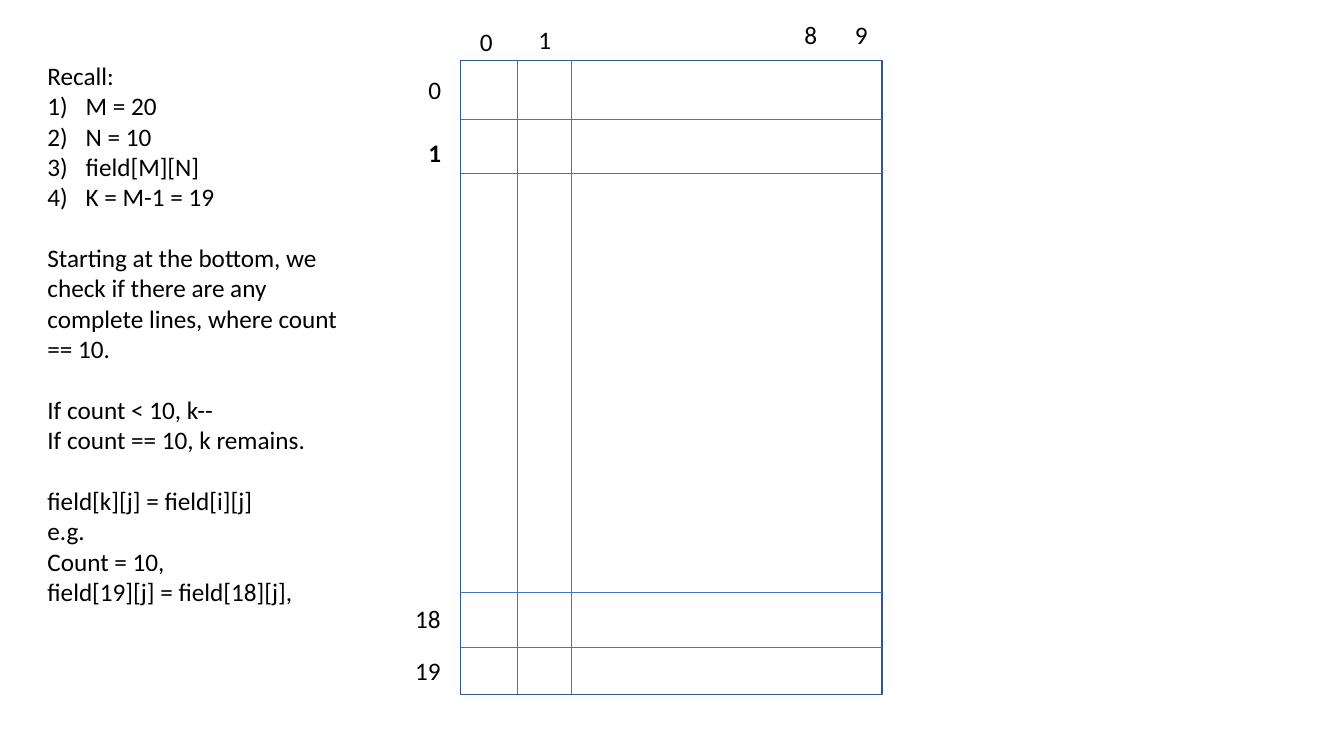
from dataclasses import dataclass

from lxml.etree import SubElement
from pptx import Presentation
from pptx.dml.color import RGBColor
from pptx.enum.shapes import MSO_CONNECTOR, MSO_SHAPE
from pptx.enum.text import MSO_ANCHOR, MSO_AUTO_SIZE, PP_ALIGN
from pptx.oxml.ns import qn
from pptx.slide import Slide
from pptx.text.text import TextFrame, _Paragraph
from pptx.util import Inches, Pt


@dataclass(frozen=True)
class Theme:
    font: str = "Calibri"
    size: float = 18
    blank_line: float = 22
    text: RGBColor = RGBColor(0x00, 0x00, 0x00)
    border: RGBColor = RGBColor(0x32, 0x54, 0x91)
    rule: RGBColor = RGBColor(0x44, 0x72, 0xC4)


@dataclass(frozen=True)
class Label:
    text: str
    left: float
    top: float
    width: float = 0.38
    bold: bool = False


@dataclass(frozen=True)
class Note:
    text: str
    numbered: bool = False
    gap: bool = False


THEME = Theme()
LEFT, TOP, WIDTH, HEIGHT = 4.57, 0.6, 4.18, 6.29
NUMBER_INDENT = 0.38
ROW_RULES = (1.18, 1.72, 5.88, 6.42)
COLUMN_RULES = (5.13, 5.67)
LABELS = (
    Label("0", 4.15, 0.69),
    Label("1", 4.15, 1.31, bold=True),
    Label("18", 4.02, 5.94, 0.63),
    Label("19", 4.02, 6.45, 0.63),
    Label("0", 4.66, 0.21),
    Label("1", 5.24, 0.19),
    Label("8", 7.88, 0.14, 0.7),
    Label("9", 8.38, 0.14, 0.7),
)
NOTES = (
    Note("Recall:"),
    Note("M = 20", numbered=True),
    Note("N = 10", numbered=True),
    Note("field[M][N]", numbered=True),
    Note("K = M-1 = 19", numbered=True),
    Note("Starting at the bottom, we check if there are any complete lines, "
         "where count == 10.", gap=True),
    Note("If count < 10, k--", gap=True),
    Note("If count == 10, k remains."),
    Note("field[k][j] = field[i][j]", gap=True),
    Note("e.g."),
    Note("Count = 10,"),
    Note("field[19][j] = field[18][j],"),
)


def write(para: _Paragraph, text: str, *, bold: bool = False,
          space_before: float = 0) -> None:
    para.alignment = PP_ALIGN.LEFT
    para.space_before = Pt(space_before)
    span = para.add_run()
    span.text = text
    span.font.name = THEME.font
    span.font.size = Pt(THEME.size)
    span.font.bold = bold
    span.font.color.rgb = THEME.text


def set_numbering(para: _Paragraph, numbered: bool) -> None:
    """Number the paragraph with a hanging indent, or clear its bullet."""
    properties = para._p.get_or_add_pPr()
    indent = Inches(NUMBER_INDENT) if numbered else 0
    properties.set("marL", str(indent))
    properties.set("indent", str(-indent))
    if numbered:
        SubElement(properties, qn("a:buFont"), typeface="+mj-lt")
        SubElement(properties, qn("a:buAutoNum"), type="arabicParenR")
    else:
        SubElement(properties, qn("a:buNone"))


def format_frame(frame: TextFrame) -> None:
    frame.word_wrap = True
    frame.auto_size = MSO_AUTO_SIZE.SHAPE_TO_FIT_TEXT
    frame.vertical_anchor = MSO_ANCHOR.TOP


def add_field(page: Slide) -> None:
    field = page.shapes.add_shape(MSO_SHAPE.RECTANGLE, Inches(LEFT), Inches(TOP),
                                  Inches(WIDTH), Inches(HEIGHT))
    field.shadow.inherit = False
    field.fill.background()
    field.line.color.rgb = THEME.border
    field.line.width = Pt(1)


def add_rule(page: Slide, x1: float, y1: float, x2: float, y2: float) -> None:
    rule = page.shapes.add_connector(MSO_CONNECTOR.STRAIGHT, Inches(x1), Inches(y1),
                                     Inches(x2), Inches(y2))
    rule.line.color.rgb = THEME.rule
    rule.line.width = Pt(0.5)
    SubElement(rule._element.spPr, qn("a:effectLst"))


def add_label(page: Slide, label: Label) -> None:
    box = page.shapes.add_textbox(Inches(label.left), Inches(label.top),
                                  Inches(label.width), Inches(0.4))
    format_frame(box.text_frame)
    write(box.text_frame.paragraphs[0], label.text, bold=label.bold)


def add_notes(page: Slide) -> None:
    body = page.placeholders[1]
    body.left, body.top = Inches(0.37), Inches(0.55)
    body.width, body.height = Inches(3.36), Inches(5.55)
    frame = body.text_frame
    format_frame(frame)
    for index, note in enumerate(NOTES):
        para = frame.add_paragraph() if index else frame.paragraphs[0]
        set_numbering(para, note.numbered)
        write(para, note.text, space_before=THEME.blank_line if note.gap else 0)


def main() -> None:
    deck = Presentation()
    deck.slide_width, deck.slide_height = Inches(13.33), Inches(7.5)
    page = deck.slides.add_slide(deck.slide_layouts[1])
    title = page.shapes.title._element
    title.getparent().remove(title)

    add_field(page)
    for y in ROW_RULES:
        add_rule(page, LEFT, y, LEFT + WIDTH, y)
    for x in COLUMN_RULES:
        add_rule(page, x, TOP, x, TOP + HEIGHT)
    for label in LABELS:
        add_label(page, label)
    add_notes(page)
    deck.save("out.pptx")


if __name__ == "__main__":
    main()
